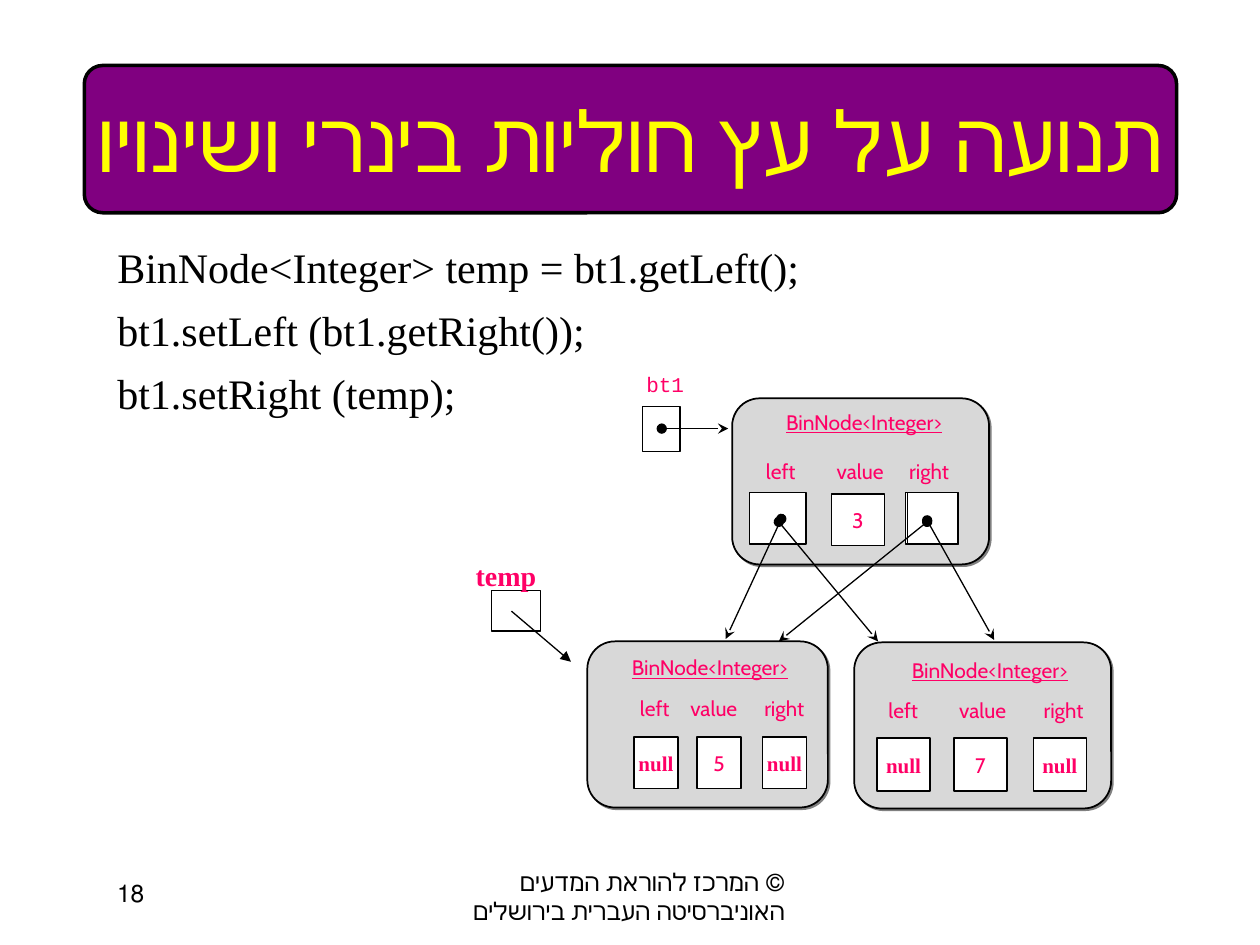
from pptx import Presentation
from pptx.dml.color import RGBColor
from pptx.enum.shapes import MSO_CONNECTOR, MSO_SHAPE
from pptx.enum.text import MSO_ANCHOR, MSO_AUTO_SIZE, PP_ALIGN
from pptx.oxml import parse_xml
from pptx.oxml.ns import nsdecls
from pptx.oxml.xmlchemy import OxmlElement
from pptx.util import Cm, Pt

BLACK = RGBColor(0x00, 0x00, 0x00)
WHITE = RGBColor(0xFF, 0xFF, 0xFF)
PURPLE = RGBColor(0x80, 0x00, 0x80)
YELLOW = RGBColor(0xFF, 0xFF, 0x00)
PINK = RGBColor(0xFF, 0x00, 0x66)
GRAY = RGBColor(0xD8, 0xD8, 0xD8)

# Text formats
HEAD = {"name": "Times New Roman", "size": Pt(48)}
CODE = {"name": "Times New Roman", "size": Pt(24)}
FOOT = {"name": "Times New Roman", "size": Pt(14)}
TEMP = {"name": "Times New Roman", "size": Pt(16), "bold": True}
NULL = {"name": "Times New Roman", "size": Pt(12), "bold": True}
MONO = {"name": "Courier New", "size": Pt(12)}
LABEL = {"name": "Cabin", "size": Pt(12)}
TYPE = {"name": "Cabin", "size": Pt(12), "underline": True}

SHADE = (
    f'<a:outerShdw {nsdecls("a")} blurRad="0" dist="17780" dir="2700000" '
    'algn="ctr" rotWithShape="0"><a:srgbClr val="808080"/></a:outerShdw>'
)

deck = Presentation()
deck.slide_width, deck.slide_height = Cm(25.4), Cm(19.05)
slide = deck.slides.add_slide(deck.slide_layouts[1])
shapes = slide.shapes


def write(frame, text, form, color=PINK, align=PP_ALIGN.CENTER, rtl=False):
    """Fill a text frame with one format, a paragraph to each line."""
    frame.text = text
    for para in frame.paragraphs:
        para.alignment = align
        if rtl:
            para._p.get_or_add_pPr().set("rtl", "1")
        for run in para.runs:
            for key, value in form.items():
                setattr(run.font, key, value)
            run.font.color.rgb = color


def block(kind, place, fill=WHITE, width=0.75):
    """Draw a filled, outlined shape without a shadow."""
    shape = shapes.add_shape(kind, *map(Cm, place))
    shape.shadow.inherit = False
    if fill is None:
        shape.fill.background()
    else:
        shape.fill.solid()
        shape.fill.fore_color.rgb = fill
    shape.line.color.rgb = BLACK
    shape.line.width = Pt(width)
    frame = shape.text_frame
    frame.margin_left = frame.margin_right = 0
    frame.margin_top = frame.margin_bottom = 0
    frame.vertical_anchor = MSO_ANCHOR.MIDDLE
    return shape


# Title on its banner
spot = (1.7, 1.32, 22.02, 2.97)
banner = block(MSO_SHAPE.ROUNDED_RECTANGLE, spot, PURPLE, 2)
banner.adjustments[0] = 0.125
title = shapes.title
title.left, title.top, title.width, title.height = map(Cm, spot)
frame = title.text_frame
write(frame, "תנועה על עץ חוליות בינרי ושינויו", HEAD, YELLOW, rtl=True)
frame.word_wrap = False
frame.auto_size = MSO_AUTO_SIZE.NONE
frame.vertical_anchor = MSO_ANCHOR.MIDDLE
shapes._spTree.append(title._element)

# Code lines
body = slide.placeholders[1]
body.left, body.top, body.width, body.height = map(Cm, (2.11, 4.75, 21.59, 12.24))
frame = body.text_frame
lines = [
    "BinNode<Integer> temp = bt1.getLeft();",
    "bt1.setLeft (bt1.getRight());",
    "bt1.setRight (temp);",
]
write(frame, "\n".join(lines), CODE, BLACK, PP_ALIGN.LEFT)
frame.auto_size = MSO_AUTO_SIZE.NONE
for row, para in enumerate(frame.paragraphs):
    para.space_before = Pt(7 if row else 0)
    props = para._p.get_or_add_pPr()
    props.set("marL", "0")
    props.set("indent", "0")
    props.append(OxmlElement("a:buNone"))

# Nodes: panel, type name, label row, label lefts, cells
nodes = [
    ((14.76, 8.03, 5.18, 3.35), (14.5, 8.13, 5.84), (9.12, 3.28),
     (14.1, 15.7, 17.09),
     [(15.11, 9.93, 1.14, 1.04, ""), (16.76, 9.96, 1.07, 1.04, "3"),
      (18.26, 9.93, 1.07, 1.04, ""), (18.29, 9.93, 1.02, 1.04, "")]),
    ((11.84, 12.93, 4.85, 3.35), (11.63, 13.08, 5.36), (13.89, 2.72),
     (11.84, 13.03, 14.45),
     [(12.78, 14.86, 0.89, 1.04, "null"), (14.05, 14.86, 0.89, 1.04, "5"),
      (15.37, 14.86, 0.89, 1.04, "null")]),
    ((17.22, 12.95, 5.18, 3.35), (17.02, 13.13, 5.87), (13.94, 3.3),
     (16.56, 18.16, 19.79),
     [(17.68, 14.88, 1.07, 1.07, "null"), (19.23, 14.88, 1.07, 1.07, "7"),
      (20.83, 14.88, 1.07, 1.07, "null")]),
]
texts = [
    ("bt1", MONO, (11.58, 7.37, 3.66, 1.57)),
    ("temp", TEMP, (9.3, 11.13, 1.8, 0.94)),
]
for panel, (left, top, width), (row, wide), lefts, cells in nodes:
    shape = block(MSO_SHAPE.ROUNDED_RECTANGLE, panel, GRAY, 1)
    shape._element.spPr.find(".//{*}effectLst").append(parse_xml(SHADE))
    for *place, text in cells:
        cell = block(MSO_SHAPE.RECTANGLE, place)
        if text:
            form = NULL if text == "null" else LABEL
            write(cell.text_frame, text, form)
            cell.text_frame.word_wrap = False
    texts.append(("BinNode<Integer>", TYPE, (left, top, width, 1.9)))
    for text, left in zip(("left", "value", "right"), lefts):
        texts.append((text, LABEL, (left, row, wide, 1.8)))

# Variable boxes
block(MSO_SHAPE.RECTANGLE, (12.95, 8.2, 0.76, 0.91))
block(MSO_SHAPE.RECTANGLE, (9.91, 11.91, 0.99, 0.81), None)

# Names and labels
for text, form, place in texts:
    frame = shapes.add_textbox(*map(Cm, place)).text_frame
    write(frame, text, form)
    frame.word_wrap = text != "temp"

# Arrows
arrows = [
    ((13.34, 8.64), (14.68, 8.64), "oval", "stealth"),
    ((15.75, 10.46), (14.63, 12.88), "oval", "stealth"),
    ((18.69, 10.49), (20.04, 12.9), "oval", "stealth"),
    ((15.7, 10.52), (17.7, 12.93), "oval", "stealth"),
    ((18.69, 10.52), (15.7, 12.93), "oval", "stealth"),
    ((10.31, 12.32), (11.51, 13.34), "none", "triangle"),
]
for start, end, head, tail in arrows:
    arrow = shapes.add_connector(MSO_CONNECTOR.STRAIGHT, *map(Cm, start + end))
    arrow.line.color.rgb = BLACK
    arrow.line.width = Pt(0.75)
    for tag, kind in (("a:headEnd", head), ("a:tailEnd", tail)):
        tip = OxmlElement(tag)
        tip.set("type", kind)
        arrow.line._ln.append(tip)
    arrow._element.spPr.append(OxmlElement("a:effectLst"))

# Footer and page number
feet = [
    ("© המרכז להוראת המדעים\vהאוניברסיטה העברית בירושלים",
     (8.69, 17.35, 8.05, 1.27), PP_ALIGN.RIGHT, 0.91),
    ("18", (2.11, 17.58, 1.27, 1.27), PP_ALIGN.LEFT, 0.25),
]
for text, place, align, right in feet:
    frame = shapes.add_textbox(*map(Cm, place)).text_frame
    frame.word_wrap = True
    frame.margin_right = Cm(right)
    write(frame, text, FOOT, BLACK, align, True)

deck.save("out.pptx")
